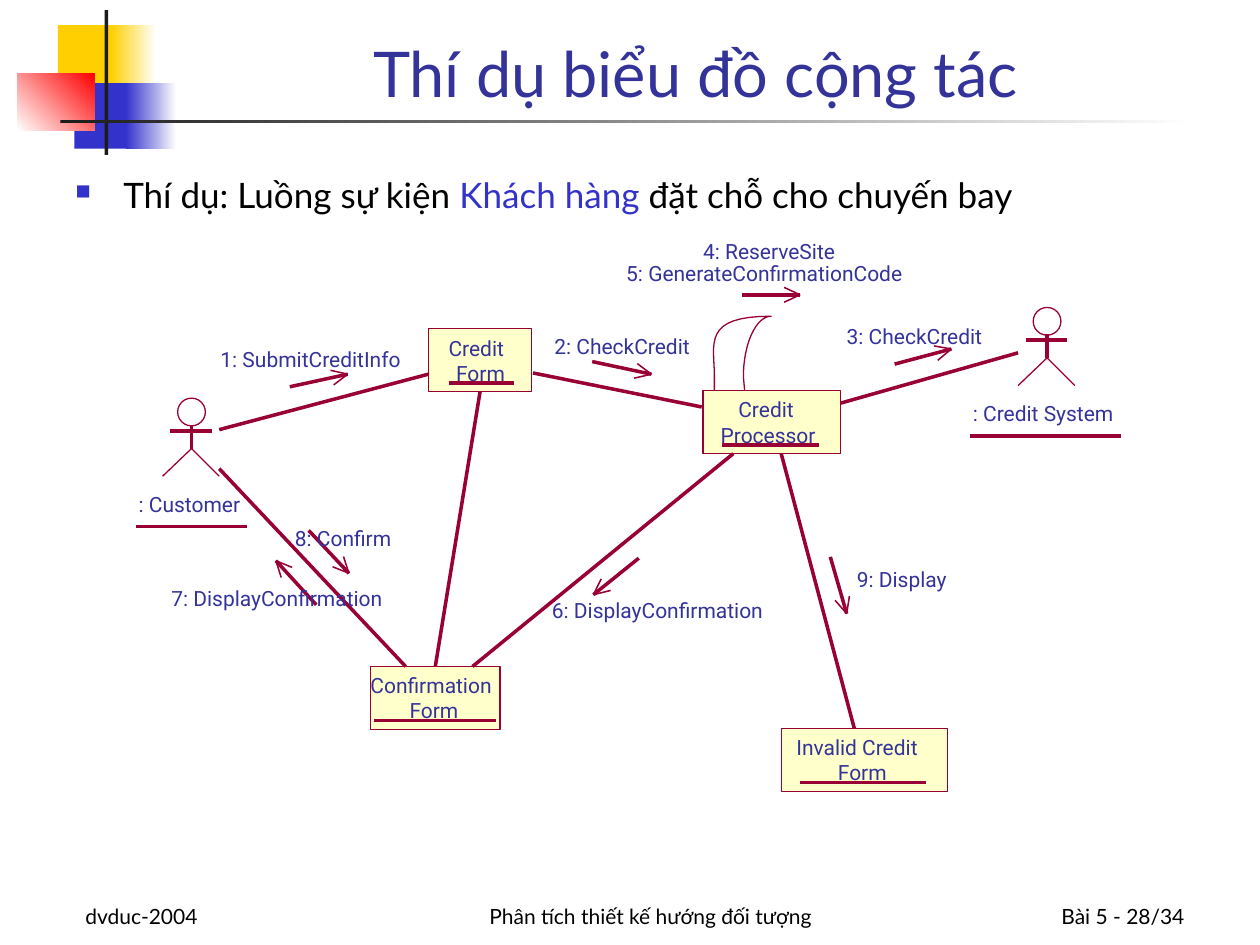
import math

from lxml import etree
from pptx import Presentation
from pptx.dml.color import RGBColor
from pptx.enum.shapes import MSO_CONNECTOR, MSO_SHAPE
from pptx.enum.text import MSO_ANCHOR, PP_ALIGN
from pptx.oxml.ns import qn
from pptx.util import Inches, Pt

RECTANGLE, OVAL = MSO_SHAPE.RECTANGLE, MSO_SHAPE.OVAL
STRAIGHT = MSO_CONNECTOR.STRAIGHT
LEFT, CENTER, RIGHT = PP_ALIGN.LEFT, PP_ALIGN.CENTER, PP_ALIGN.RIGHT
TOP, BOTTOM = MSO_ANCHOR.TOP, MSO_ANCHOR.BOTTOM

YELLOW = RGBColor(0xFF, 0xCF, 0x01)
BLUE = RGBColor(0x33, 0x33, 0xCC)
RED = RGBColor(0xFF, 0x00, 0x00)
WHITE = RGBColor(0xFF, 0xFF, 0xFF)
CHARCOAL = RGBColor(0x1C, 0x1C, 0x1C)
BLACK = RGBColor(0x00, 0x00, 0x00)
INDIGO = RGBColor(0x33, 0x33, 0x99)
MAROON = RGBColor(0x99, 0x00, 0x33)
CREAM = RGBColor(0xFF, 0xFF, 0xCC)

TITLE = "Thí dụ biểu đồ cộng tác"
BODY = [
    ("Thí dụ: Luồng sự kiện ", BLACK),
    ("Khách hàng", BLUE),
    (" đặt chỗ cho chuyến bay", BLACK),
]
FOOTERS = [
    ("dvduc-2004", 0.58, 2.08, LEFT),
    ("Phân tích thiết kế hướng đối tượng", 3.25, 3.83, CENTER),
    ("Bài 5 - 28/34", 7.42, 2.08, RIGHT),
]
ORNAMENT = [
    ((0.46, 0.2, 0.48, 0.52), (YELLOW,), 0),
    ((0.88, 0.2, 0.36, 0.52), (YELLOW, WHITE), 0),
    ((0.59, 0.66, 0.46, 0.52), (BLUE,), 0),
    ((1, 0.66, 0.4, 0.52), (BLUE, WHITE), 0),
    ((0.14, 0.58, 0.61, 0.46), (WHITE, RED), 45),
    ((0.83, 0.08, 0.03, 1.15), (CHARCOAL,), 0),
    ((0.48, 0.95, 9, 0.03), (CHARCOAL, WHITE), 0),
]
ACTORS = [
    (" : Customer", 1.52, 3.16, 1.06, 0.9),
    (" : Credit System", 8.31, 2.44, 7.68, 1.22),
]
OBJECTS = {
    "credit form": (3.4, 2.61, 0.82, [("Credit", 3.56, 0.52), ("Form", 3.62, 0.41)], (3.56, 4.08)),
    "processor": (5.58, 3.1, 1.09, [("Credit", 5.86, 0.52), ("Processor", 5.72, 0.77)], (5.73, 6.5)),
    "confirmation": (2.94, 5.29, 1.03, [("Confirmation", 2.94, 1.08), ("Form", 3.25, 0.41)], (2.97, 3.94)),
    "invalid credit": (6.2, 5.78, 1.32, [("Invalid Credit", 6.32, 1.09), ("Form", 6.65, 0.41)], (6.35, 7.35)),
}
LINKS = [
    ((1.74, 3.41), (3.4, 2.97)),
    ((4.23, 2.96), (5.57, 3.23)),
    ((6.67, 3.2), (8.08, 2.8)),
    ((5.82, 3.6), (3.75, 5.29)),
    ((6.2, 3.6), (6.78, 5.78)),
    ((3.22, 5.29), (1.74, 3.72)),
]
MESSAGE_ARROWS = [
    ((5.89, 2.34), (6.35, 2.34)),
    ((2.3, 3.07), (2.76, 2.97)),
    ((4.7, 2.87), (5.17, 2.97)),
    ((7.1, 2.89), (7.55, 2.77)),
    ((5.07, 4.43), (4.71, 4.72)),
    ((6.59, 4.42), (6.72, 4.87)),
    ((2.51, 4.8), (2.19, 4.45)),
    ((2.45, 4.21), (2.77, 4.55)),
]
MESSAGES = [
    ("1: SubmitCreditInfo", 1.75, 2.75, 1.53),
    ("2: CheckCredit", 4.4, 2.65, 1.13),
    ("3: CheckCredit", 6.72, 2.57, 1.13),
    ("4: ReserveSite", 5.58, 1.89, 1.09),
    ("5: GenerateConfirmationCode", 4.97, 2.07, 2.35),
    ("6: DisplayConfirmation", 4.38, 4.74, 1.79),
    ("7: DisplayConfirmation", 1.36, 4.65, 1.79),
    ("8: Confirm", 2.34, 4.17, 0.82),
    ("9: Display", 6.8, 4.5, 0.75),
]
SELF_LINK = [
    ((5.9, 2.99), (5.9, 2.73), (6, 2.51), (6.12, 2.51)),
    ((6.12, 2.51), (5.57, 2.51), (5.67, 2.73), (5.67, 2.99)),
]
WING_LENGTH, WING_ANGLE = 0.14, math.radians(25)


def add_preset(slide, kind, box, colors=(), angle=0, outline=None):
    shape = slide.shapes.add_shape(kind, *map(Inches, box))
    shape.shadow.inherit = False
    if len(colors) == 2:
        shape.fill.gradient()
        shape.fill.gradient_angle = angle
        for stop, color in zip(shape.fill.gradient_stops, colors):
            stop.color.rgb = color
    elif colors:
        shape.fill.solid()
        shape.fill.fore_color.rgb = colors[0]
    else:
        shape.fill.background()
    if outline is None:
        shape.line.fill.background()
    else:
        shape.line.color.rgb = outline
        shape.line.width = Pt(0)
    return shape


def add_line(slide, start, end, width=0):
    line = slide.shapes.add_connector(STRAIGHT, *map(Inches, (*start, *end)))
    line.line.color.rgb = MAROON
    line.line.width = Pt(width)
    etree.SubElement(line._element.spPr, qn("a:effectLst"))
    return line


def add_path(slide, points):
    points = [(Inches(x), Inches(y)) for x, y in points]
    builder = slide.shapes.build_freeform(*points[0])
    builder.add_line_segments(points[1:], close=False)
    shape = builder.convert_to_shape()
    shape.shadow.inherit = False
    shape.fill.background()
    shape.line.color.rgb = MAROON
    shape.line.width = Pt(0)


def add_text(slide, runs, box, size, font, align=LEFT, anchor=TOP, wrap=True):
    text_box = slide.shapes.add_textbox(*map(Inches, box))
    text_frame = text_box.text_frame
    text_frame.word_wrap = wrap
    text_frame.vertical_anchor = anchor
    paragraph = text_frame.paragraphs[0]
    paragraph.alignment = align
    for text, color in runs:
        run = paragraph.add_run()
        run.text = text
        run.font.size = Pt(size)
        run.font.name = font
        run.font.color.rgb = color
    return text_frame


def add_label(slide, text, left, top, width):
    text_frame = add_text(slide, [(text, INDIGO)], (left, top, width, 0.2), 12, "Roboto", wrap=False)
    text_frame.margin_left = text_frame.margin_right = 0
    text_frame.margin_top = text_frame.margin_bottom = 0


def add_bullet(paragraph):
    properties = paragraph._p.get_or_add_pPr()
    properties.set("marL", str(Inches(0.38)))
    properties.set("indent", str(Inches(-0.38)))
    color = etree.SubElement(properties, qn("a:buClr"))
    etree.SubElement(color, qn("a:srgbClr"), val=str(BLUE))
    etree.SubElement(properties, qn("a:buSzPct"), val="60000")
    etree.SubElement(properties, qn("a:buChar"), char="■")


def add_actor(slide, name, center, top, label_left, label_width):
    add_preset(slide, OVAL, (center - 0.11, top, 0.22, 0.22), outline=MAROON)
    add_line(slide, (center, top + 0.21), (center, top + 0.4))
    add_line(slide, (center - 0.17, top + 0.26), (center + 0.16, top + 0.26))
    add_path(slide, [(center - 0.23, top + 0.62), (center, top + 0.4), (center + 0.22, top + 0.62)])
    add_label(slide, name, label_left, top + 0.74, label_width)
    add_line(slide, (label_left + 0.02, top + 1.02), (label_left + label_width, top + 1.02))


def add_object(slide, left, top, width, words, underline):
    shape = add_preset(slide, RECTANGLE, (left, top, width, 0.5), (CREAM,), outline=MAROON)
    for index, (word, word_left, word_width) in enumerate(words):
        add_label(slide, word, word_left, top + 0.05 + 0.2 * index, word_width)
    add_line(slide, *((x, top + 0.43) for x in underline))
    return shape


def add_message_arrow(slide, start, end):
    add_line(slide, start, end)
    backward = math.atan2(start[1] - end[1], start[0] - end[0])
    for angle in (backward - WING_ANGLE, backward + WING_ANGLE):
        wing = (end[0] + WING_LENGTH * math.cos(angle), end[1] + WING_LENGTH * math.sin(angle))
        add_line(slide, end, wing, 0.88)


def bezier_points(curve, steps=16):
    for step in range(steps + 1):
        t = step / steps
        weights = [math.comb(3, k) * t ** k * (1 - t) ** (3 - k) for k in range(4)]
        yield tuple(sum(w * point[axis] for w, point in zip(weights, curve)) for axis in (0, 1))


def main():
    presentation = Presentation()
    presentation.slide_width, presentation.slide_height = Inches(10), Inches(7.5)
    slide = presentation.slides.add_slide(presentation.slide_layouts[6])
    for box, colors, angle in ORNAMENT:
        add_preset(slide, RECTANGLE, box, colors, angle)
    for text, left, width, align in FOOTERS:
        add_text(slide, [(text, BLACK)], (left, 6.92, width, 0.5), 12, "Lato", align, BOTTOM)
    add_text(slide, [(TITLE, INDIGO)], (1.26, 0.08, 8.52, 0.84), 36, "Lato", CENTER, BOTTOM)
    body = add_text(slide, BODY, (0.5, 1.33, 9.29, 5.5), 20, "Lato").paragraphs[0]
    body.space_before = Pt(5)
    add_bullet(body)

    for actor in ACTORS:
        add_actor(slide, *actor)
    objects = {name: add_object(slide, *details) for name, details in OBJECTS.items()}
    curve = [point for part in SELF_LINK for point in bezier_points(part)]
    add_path(slide, [(5.91, 3.1), *curve, (5.67, 3.1)])
    for start, end in LINKS:
        add_line(slide, start, end)
    form_link = add_line(slide, (3.46, 5.29), (3.81, 3.11))
    form_link.begin_connect(objects["confirmation"], 0)
    form_link.end_connect(objects["credit form"], 2)
    for start, end in MESSAGE_ARROWS:
        add_message_arrow(slide, start, end)
    for message in MESSAGES:
        add_label(slide, *message)
    presentation.save("out.pptx")


if __name__ == "__main__":
    main()
